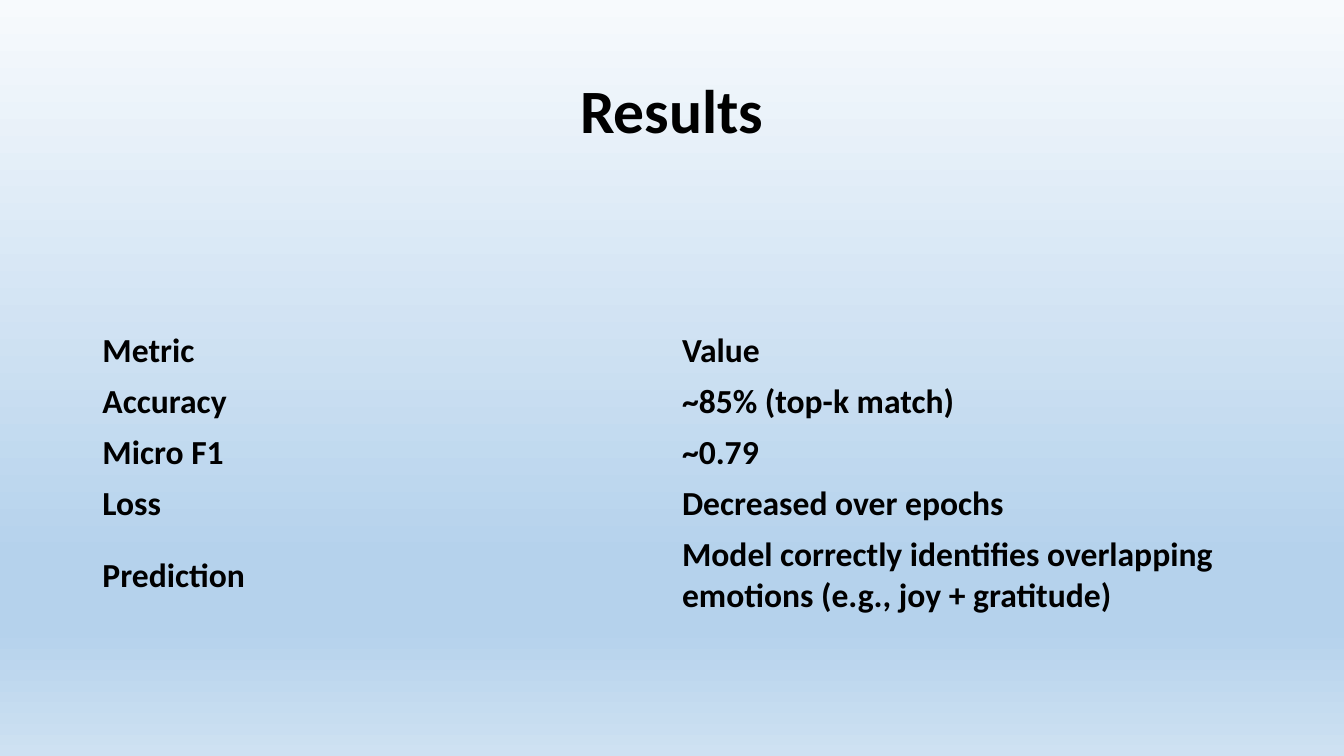
from copy import deepcopy

from pptx import Presentation
from pptx.dml.color import RGBColor
from pptx.enum.text import MSO_ANCHOR, PP_ALIGN
from pptx.oxml.ns import qn
from pptx.util import Pt

MIDDLE = MSO_ANCHOR.MIDDLE
CENTER = PP_ALIGN.CENTER

COLORS = {"text": "000000", "top": "F7FAFD", "band": "B5D2EC", "bottom": "CEE1F2"}
GRADIENT = [(0, "top"), (0.74, "band"), (0.83, "band"), (1, "bottom")]
NO_GRID_STYLE = "{2D5ABB26-0587-4C30-8999-92F81FD0307C}"

# Boxes are left, top, width, height in points
TITLE_BOX = (66, 28.8, 828, 104.4)
METRICS_BOX = (66, 232.5, 828, 212)
LAST_ROW_HEIGHT = 66

METRICS = [
    ("Metric", "Value"),
    ("Accuracy", "~85% (top-k match)"),
    ("Micro F1", "~0.79"),
    ("Loss", "Decreased over epochs"),
    ("Prediction", "Model correctly identifies overlapping emotions (e.g., joy + gratitude)"),
]


def write(frame, text, size):
    paragraph = frame.paragraphs[0]
    run = paragraph.add_run()
    run.text = text
    for attribute, value in {"name": "Calibri", "size": Pt(size), "bold": True}.items():
        setattr(run.font, attribute, value)
    run.font.color.rgb = RGBColor.from_string(COLORS["text"])
    return paragraph


def paint_background(slide):
    fill = slide.background.fill
    fill.gradient()
    # Extend the default two stops to the full list
    stop_list = slide.element.find(".//" + qn("a:gsLst"))
    while len(stop_list) < len(GRADIENT):
        stop_list.append(deepcopy(stop_list[0]))
    for stop, (position, color) in zip(fill.gradient_stops, GRADIENT):
        stop.position = position
        stop.color.rgb = RGBColor.from_string(COLORS[color])
    fill.gradient_angle = 270


def add_title(slide, box, text):
    frame = slide.shapes.add_textbox(*map(Pt, box)).text_frame
    frame.word_wrap = True
    frame.vertical_anchor = MIDDLE
    heading = write(frame, text, 44)
    heading.alignment = CENTER
    heading.line_spacing = 0.9


def add_metrics(slide, box, metrics):
    row_count, column_count = len(metrics), len(metrics[0])
    table_frame = slide.shapes.add_table(row_count, column_count, *map(Pt, box))
    table = table_frame.table

    # Plain style without header, bands or grid
    for attribute in ("first_row", "horz_banding"):
        setattr(table, attribute, False)
    table_frame.element.find(".//" + qn("a:tableStyleId")).text = NO_GRID_STYLE

    # The last row holds two lines; the others share the rest equally
    row_height = (box[3] - LAST_ROW_HEIGHT) / (row_count - 1)
    for row in table.rows:
        row.height = Pt(row_height)
    table.rows[row_count - 1].height = Pt(LAST_ROW_HEIGHT)

    for row, entries in zip(table.rows, metrics):
        for cell, entry in zip(row.cells, entries):
            cell.fill.background()
            cell.vertical_anchor = MIDDLE
            write(cell.text_frame, entry, 24)


def main():
    deck = Presentation()
    deck.slide_width, deck.slide_height = Pt(960), Pt(540)
    slide = deck.slides.add_slide(deck.slide_layouts[6])
    paint_background(slide)
    add_title(slide, TITLE_BOX, "Results")
    add_metrics(slide, METRICS_BOX, METRICS)
    deck.save("out.pptx")


if __name__ == "__main__":
    main()
